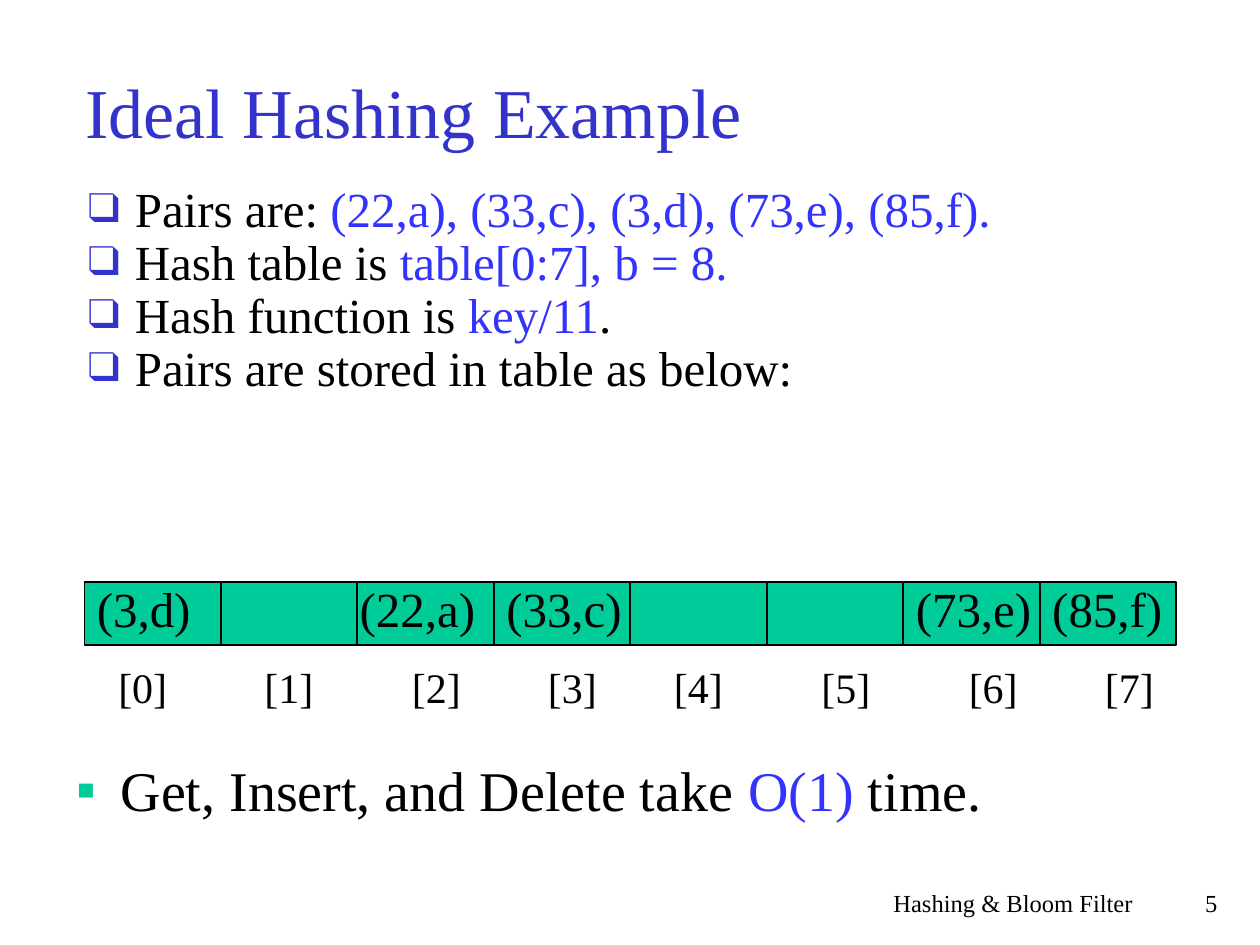
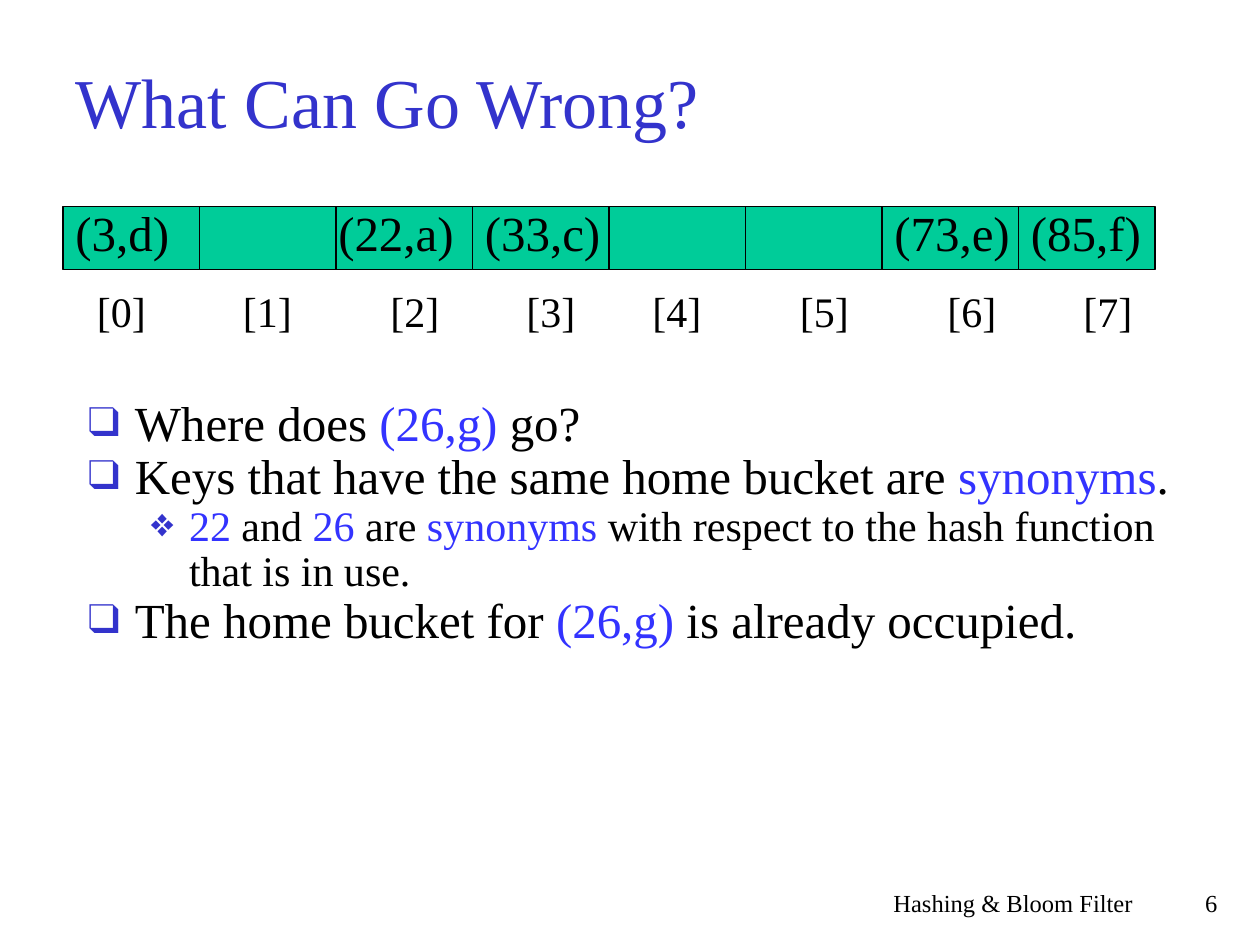
"""Build two lecture slides about ideal hashing and its collisions."""
from lxml import etree
from pptx import Presentation
from pptx import util as u
from pptx.dml.color import RGBColor
from pptx.enum import shapes, text
from pptx.oxml.ns import qn

COLORS = {"text": "000000", "title": "3333CC", "accent": "3333FF", "bucket": "00CC99"}
FONT = "Times New Roman"
BUCKET_WIDTH = 13 / 12
BUCKET_HEIGHT = 0.5
ENTRIES = {0: "(3,d)", 2: "(22,a)", 3: "(33,c)", 6: "(73,e)", 7: "(85,f)"}
ENTRY_SHIFTS = {2: -0.08}
LABEL_OFFSETS = [0.17, 1.33, 2.5, 3.58, 4.58, 5.75, 6.92, 8]
BULLETS = {
    "box": {"char": "❑", "color": "title", "percent": 85, "left": 0.38, "hang": 0.37},
    "diamond": {"char": "❖", "color": "title", "percent": 75, "left": 0.81, "hang": 0.31},
    "square": {"char": "▪", "color": "bucket", "percent": 100, "left": 0.35, "hang": 0.35},
}


def color(name):
    return RGBColor.from_string(COLORS[name])


class Deck:
    def __init__(self):
        self.presentation = Presentation()
        self.presentation.slide_width = u.Inches(10)
        self.presentation.slide_height = u.Inches(7.5)
        self.slide = None

    def add_slide(self, title, title_box, number):
        layout = self.presentation.slide_layouts[1]
        self.slide = self.presentation.slides.add_slide(layout)
        shape = self.slide.shapes.title
        self.place(shape, *title_box)
        shape.text_frame.vertical_anchor = text.MSO_ANCHOR.MIDDLE
        self.add_runs(shape.text_frame.paragraphs[0], title, 40, "title")
        self.text_box("Hashing & Bloom Filter", (5.92, 7, 3.17, 0.5), 14, text.PP_ALIGN.RIGHT)
        self.text_box(str(number), (9.08, 7, 0.68, 0.5), 14, text.PP_ALIGN.RIGHT)

    def place(self, shape, left, top, width, height):
        shape.left, shape.top = u.Inches(left), u.Inches(top)
        shape.width, shape.height = u.Inches(width), u.Inches(height)
        shape.text_frame.word_wrap = True
        shape.text_frame.auto_size = text.MSO_AUTO_SIZE.NONE

    def add_runs(self, paragraph, content, size, base="text", align=text.PP_ALIGN.LEFT):
        """Add the content, giving the accent colour to parts between asterisks."""
        paragraph.alignment = align
        for index, part in enumerate(content.split("*")):
            if part:
                run = paragraph.add_run()
                run.text = part
                run.font.name = FONT
                run.font.size = u.Pt(size)
                run.font.color.rgb = color("accent" if index % 2 else base)

    def text_box(self, content, box, size, align=text.PP_ALIGN.LEFT):
        shape = self.slide.shapes.add_textbox(*map(u.Inches, box))
        shape.text_frame.word_wrap = True
        paragraph = shape.text_frame.paragraphs[0]
        self.add_runs(paragraph, content, size, align=align)
        return paragraph

    def bullet(self, paragraph, kind):
        style = BULLETS[kind]
        properties = paragraph._p.get_or_add_pPr()
        properties.set("marL", str(u.Inches(style["left"])))
        properties.set("indent", str(-u.Inches(style["hang"])))
        bullet_color = etree.SubElement(properties, qn("a:buClr"))
        etree.SubElement(bullet_color, qn("a:srgbClr"), val=COLORS[style["color"]])
        etree.SubElement(properties, qn("a:buSzPct"), val=str(style["percent"] * 1000))
        etree.SubElement(properties, qn("a:buFont"), typeface=FONT)
        etree.SubElement(properties, qn("a:buChar"), char=style["char"])

    def body(self, items, box):
        shape = self.slide.placeholders[1]
        self.place(shape, *box)
        frame = shape.text_frame
        for index, (level, content) in enumerate(items):
            paragraph = frame.add_paragraph() if index else frame.paragraphs[0]
            paragraph.level = level
            paragraph.line_spacing = 0.9
            paragraph.space_before = u.Pt(0)
            self.add_runs(paragraph, content, 24 if level else 28)
            self.bullet(paragraph, "diamond" if level else "box")

    def bucket(self, left, top):
        shape = self.slide.shapes.add_shape(
            shapes.MSO_SHAPE.RECTANGLE, u.Inches(left), u.Inches(top),
            u.Inches(BUCKET_WIDTH), u.Inches(BUCKET_HEIGHT))
        shape.shadow.inherit = False
        shape.fill.solid()
        shape.fill.fore_color.rgb = color("bucket")
        shape.line.color.rgb = color("text")
        shape.line.width = u.Pt(1)

    def hash_table(self, left, top):
        for index, offset in enumerate(LABEL_OFFSETS):
            self.bucket(left + index * BUCKET_WIDTH, top)
            self.text_box(f"[{index}]", (left + offset, top + 0.58, 0.75, 0.5), 24)
        for index, entry in ENTRIES.items():
            entry_left = left + index * BUCKET_WIDTH + ENTRY_SHIFTS.get(index, 0)
            self.text_box(entry, (entry_left, top - 0.08, 1.33, 0.57), 28)


def main():
    deck = Deck()

    deck.add_slide("Ideal Hashing Example", (0.58, 0.25, 8.5, 1.25), 5)
    deck.body([
        (0, "Pairs are: *(22,a), (33,c), (3,d), (73,e), (85,f).*"),
        (0, "Hash table is *table[0:7], b = 8.*"),
        (0, "Hash function is *key/11*."),
        (0, "Pairs are stored in table as below:"),
    ], (0.59, 1.42, 8.9, 2.83))
    deck.hash_table(0.67, 4.62)
    summary = deck.text_box(
        "Get, Insert, and Delete take *O(1)* time.", (0.51, 5.95, 8.98, 0.63), 32)
    deck.bullet(summary, "square")

    deck.add_slide("What Can Go Wrong?", (0.5, 0.3, 9, 1), 6)
    deck.body([
        (0, "Where does *(26,g)* go?"),
        (0, "Keys that have the same home bucket are *synonyms*."),
        (1, "*22* and *26* are *synonyms* with respect to the hash function that is in use."),
        (0, "The home bucket for *(26,g)* is already occupied."),
    ], (0.59, 3.12, 8.82, 3.54))
    deck.hash_table(0.5, 1.64)

    deck.presentation.save("out.pptx")


main()
